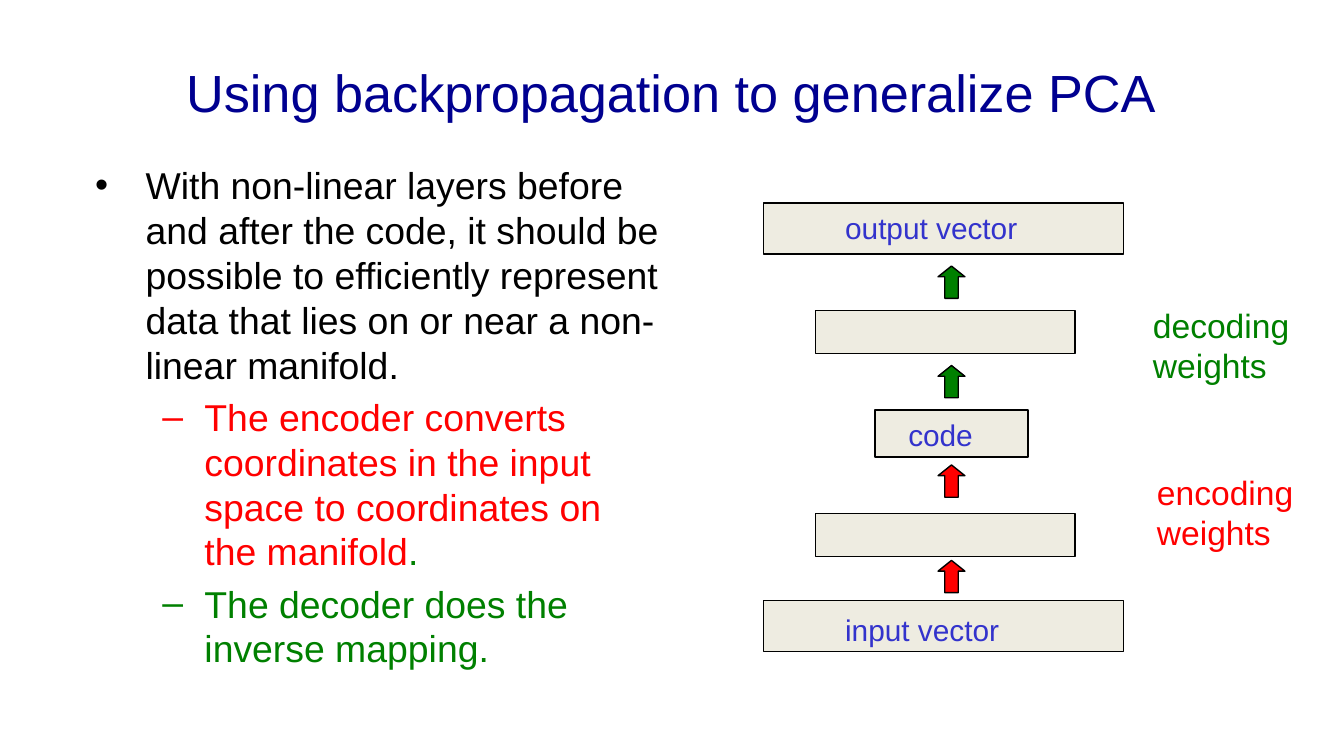
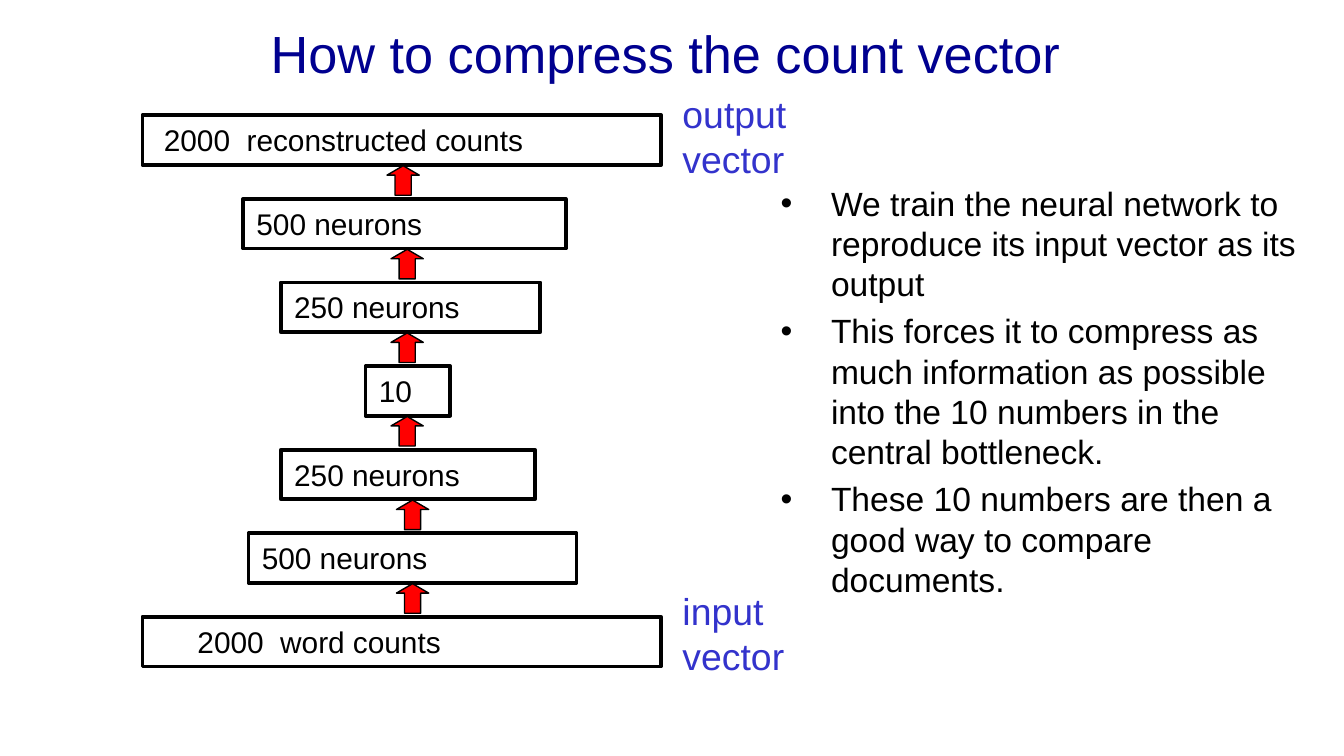
import pptx
import pptx.dml.color
import pptx.enum.shapes
import pptx.enum.text
import pptx.oxml
import pptx.oxml.ns
import pptx.util

SHAPE = pptx.enum.shapes.MSO_SHAPE
ANCHOR = pptx.enum.text.MSO_ANCHOR
ALIGN = pptx.enum.text.PP_ALIGN

WIDE = pptx.util.Inches(10)
HIGH = WIDE * 9 // 16
CELL = WIDE / 100

FACE = "Arial"
NAVY, BLUE, BLACK = "000090", "3333CC", "000000"
RED, GREEN, CREAM = "FF0000", "008000", "EEECE1"
LEVELS = [("•", 3.75, -3.75), ("–", 8.13, -3.13)]


def ink(code):
    return pptx.dml.color.RGBColor.from_string(code)


def span(cells):
    return round(cells * CELL)


def place(*cells):
    return [span(n) for n in cells]


def style(para, size, color):
    font = para.font
    font.name = FACE
    font.size = pptx.util.Pt(size)
    if color:
        font.color.rgb = ink(color)


def write(shape, text, size, color):
    frame = shape.text_frame
    frame.word_wrap = True
    frame.vertical_anchor = ANCHOR.TOP
    para = frame.paragraphs[0]
    para.text = text
    para.alignment = ALIGN.LEFT
    style(para, size, color)
    return frame


def label(slide, text, box, size, color):
    return write(slide.shapes.add_textbox(*place(*box)), text, size, color)


def title(slide, text, box):
    frame = label(slide, text, box, 28, NAVY)
    frame.vertical_anchor = ANCHOR.MIDDLE
    frame.paragraphs[0].alignment = ALIGN.CENTER


def bullet(para, level):
    mark, left, hang = LEVELS[level]
    para.level = level
    props = para._p.get_or_add_pPr()
    props.set("marL", str(span(left)))
    props.set("indent", str(span(hang)))
    space = pptx.oxml.ns.nsdecls("a")
    for tag in (f'buFont {space} typeface="{FACE}"',
                f'buChar {space} char="{mark}"'):
        props.append(pptx.oxml.parse_xml(f"<a:{tag}/>"))


def body(slide, box, size, items):
    frame = slide.shapes.add_textbox(*place(*box)).text_frame
    frame.word_wrap = True
    for num, (level, runs) in enumerate(items):
        para = frame.add_paragraph() if num else frame.paragraphs[0]
        bullet(para, level)
        if num:
            para.space_before = pptx.util.Pt(size * 0.2)
        style(para, size, runs[0][1] if len(runs) == 1 else None)
        for text, color in runs:
            run = para.add_run()
            run.text = text
            if len(runs) > 1:
                run.font.color.rgb = ink(color)


def shape(slide, kind, box, fill, line):
    item = slide.shapes.add_shape(kind, *place(*box))
    item.shadow.inherit = False
    if fill:
        item.fill.solid()
        item.fill.fore_color.rgb = ink(fill)
    else:
        item.fill.background()
    item.line.color.rgb = ink(BLACK)
    item.line.width = pptx.util.Pt(line)
    return item


def arrow(slide, box, color, head):
    item = shape(slide, SHAPE.UP_ARROW, box, color, 0.75)
    item.adjustments[0] = 0.5
    item.adjustments[1] = head


def layer(slide, box, text, inset):
    item = shape(slide, SHAPE.RECTANGLE, box, None, 2)
    frame = write(item, text, 16, BLACK)
    frame.margin_left = span(inset)


def manifold(slide):
    title(slide, "Using backpropagation to generalize PCA", (2.4, 2.1, 95, 9.4))
    body(slide, (6.1, 11.6, 44.2, 43.1), 20, [
        (0, [("With non-linear layers before and after the code, it should be "
              "possible to efficiently represent data that lies on or near a "
              "non-linear manifold.", BLACK)]),
        (1, [("The encoder converts coordinates in the input space to "
              "coordinates on the manifold", RED), (".", GREEN)]),
        (1, [("The decoder does the inverse mapping.", GREEN)]),
    ])
    for box in [(56.8, 15.1, 26.8, 3.8), (60.7, 23.1, 19.3, 3.2),
                (65.1, 30.5, 11.4, 3.5), (60.7, 38.2, 19.3, 3.2),
                (56.8, 44.7, 26.8, 3.8)]:
        shape(slide, SHAPE.RECTANGLE, box, CREAM, 0.75)
    for row, color in [(19.8, GREEN), (27.2, GREEN), (34.6, RED), (41.7, RED)]:
        arrow(slide, (69.8, row, 2, 2.4), color, 0.4)
    for text, box, size, color in [
        ("output vector", (61.9, 15.1, 19.7, 3.7), 16, BLUE),
        ("code", (66.6, 30.5, 8.3, 3.7), 16, BLUE),
        ("input vector", (61.9, 45, 19.7, 3.7), 16, BLUE),
        ("decoding weights", (84.8, 22.2, 13.8, 7.1), 18, GREEN),
        ("encoding weights", (85.1, 34.6, 13.8, 7.1), 18, RED),
    ]:
        label(slide, text, box, size, color)


def counts(slide):
    title(slide, "How to compress the count vector", (4.5, -0.8, 90, 9.4))
    body(slide, (57.1, 13.1, 42.6, 37.1), 18, [
        (0, [(text, BLACK)]) for text in [
            "We train the neural network to reproduce its input vector as its "
            "output",
            "This forces it to compress as much information as possible into "
            "the 10 numbers in the central bottleneck.",
            "These 10 numbers are then a good way to compare documents.",
        ]])
    top, step = 8.58, 6.22
    for num, (text, left, width, inset) in enumerate([
        ("2000  reconstructed counts", 10.6, 38.6, 1.6),
        ("500 neurons", 18.1, 24, 1),
        ("250 neurons", 20.9, 19.3, 1),
        ("10", 27.2, 6.3, 1),
        ("250 neurons", 20.9, 18.9, 1),
        ("500 neurons", 18.5, 24.4, 1),
        ("2000  word counts", 10.6, 38.6, 4.1),
    ]):
        layer(slide, (left, top + step * num, width, 3.7), text, inset)
    for num, left in enumerate([28.8, 29.1, 29.1, 29.1, 29.5, 29.5]):
        arrow(slide, (left, top + 3.75 + step * num, 2.4, 2.2), RED, 0.32)
    for text, row in [("output vector", 6.3), ("input vector", 43.3)]:
        label(slide, text, (49.8, row, 12.6, 7.7), 20, BLUE)


def main():
    deck = pptx.Presentation()
    deck.slide_width, deck.slide_height = WIDE, HIGH
    for draw in (manifold, counts):
        draw(deck.slides.add_slide(deck.slide_layouts[6]))
    deck.save("out.pptx")


if __name__ == "__main__":
    main()
